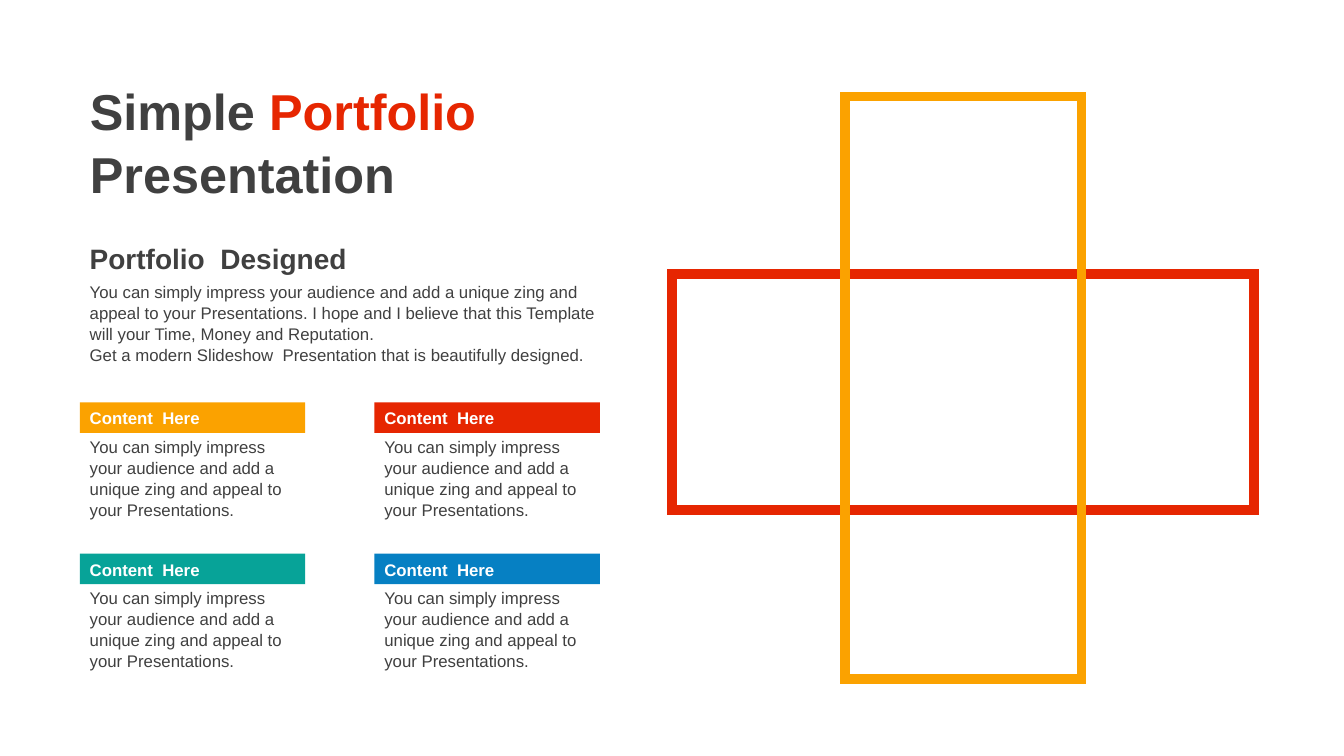
"""Build the portfolio slide with two crossed frames and four content cards."""
from lxml.etree import SubElement
from pptx import Presentation
from pptx.dml.color import RGBColor
from pptx.enum.shapes import MSO_SHAPE as Shape
from pptx.enum.text import MSO_ANCHOR as Anchor, MSO_AUTO_SIZE as AutoSize, PP_ALIGN as Align
from pptx.oxml.ns import qn
from pptx.util import Pt

DARK, WHITE = "404040", "FFFFFF"
RED, ORANGE, TEAL, BLUE = "E62601", "FBA200", "07A398", "0680C3"


def rgb(value):
    return RGBColor.from_string(value)


def write(holder, paragraphs, size, bold=False, anchor=Anchor.TOP, spacing=1.04):
    frame = holder.text_frame
    frame.word_wrap = True
    frame.auto_size = AutoSize.NONE
    frame.vertical_anchor = anchor
    for index, runs in enumerate(paragraphs):
        paragraph = frame.add_paragraph() if index else frame.paragraphs[0]
        paragraph.alignment = Align.LEFT
        paragraph.line_spacing = spacing
        for text, color in runs:
            run = paragraph.add_run()
            run.text = text
            run.font.name = "Arial"
            run.font.size = Pt(size)
            run.font.bold = bold
            run.font.color.rgb = rgb(color)


deck = Presentation()
deck.slide_width, deck.slide_height = Pt(960), Pt(540)
slide = deck.slides.add_slide(deck.slide_layouts[5])
shapes = slide.shapes
left = 57

title = shapes.title
title.left, title.top, title.width, title.height = Pt(left), Pt(52), Pt(331), Pt(94.5)
write(title, [[("Simple", DARK), (" Portfolio", RED)], [("Presentation", DARK)]], 36, bold=True)

long_side, short_side, center_x = 416, 169, 688
for color, width, height, center_y in [
    (RED, long_side, short_side, 280),
    (ORANGE, short_side, long_side, 277),
]:
    frame = shapes.add_shape(Shape.RECTANGLE, Pt(center_x - width / 2), Pt(center_y - height / 2),
                             Pt(width), Pt(height))
    frame.shadow.inherit = False
    frame.fill.background()
    frame.line.color.rgb = rgb(color)
    frame.line.width = Pt(7)
    SubElement(frame.line._get_or_add_ln(), qn("a:miter"), lim="800000")

heading = shapes.add_textbox(Pt(left), Pt(169), Pt(393), Pt(28))
write(heading, [[("Portfolio  Designed", DARK)]], 20, bold=True, anchor=Anchor.MIDDLE, spacing=1.1)

intro = shapes.add_textbox(Pt(left), Pt(197), Pt(393), Pt(65.5))
write(intro, [
    [("You can simply impress your audience and add a unique zing and appeal to your "
      "Presentations. I hope and I believe that this Template will your Time, Money and "
      "Reputation.", DARK)],
    [("Get a modern Slideshow  Presentation that is beautifully designed.", DARK)],
], 12)

card_width, column_step, row_step = 161, 210.5, 108
for index, color in enumerate([ORANGE, RED, TEAL, BLUE]):
    row, column = divmod(index, 2)
    card_left = left + column * column_step
    card_top = 287.5 + row * row_step
    label = shapes.add_shape(Shape.RECTANGLE, Pt(card_left), Pt(card_top), Pt(card_width), Pt(21.8))
    label.shadow.inherit = False
    label.fill.solid()
    label.fill.fore_color.rgb = rgb(color)
    label.line.fill.background()
    write(label, [[("Content  Here", WHITE)]], 12, bold=True, anchor=Anchor.MIDDLE)
    detail = shapes.add_textbox(Pt(card_left), Pt(card_top + 20.3), Pt(card_width), Pt(65.5))
    write(detail, [[("You can simply impress your audience and add a unique zing and appeal to "
                     "your Presentations.", DARK)]], 12)

deck.save("out.pptx")
